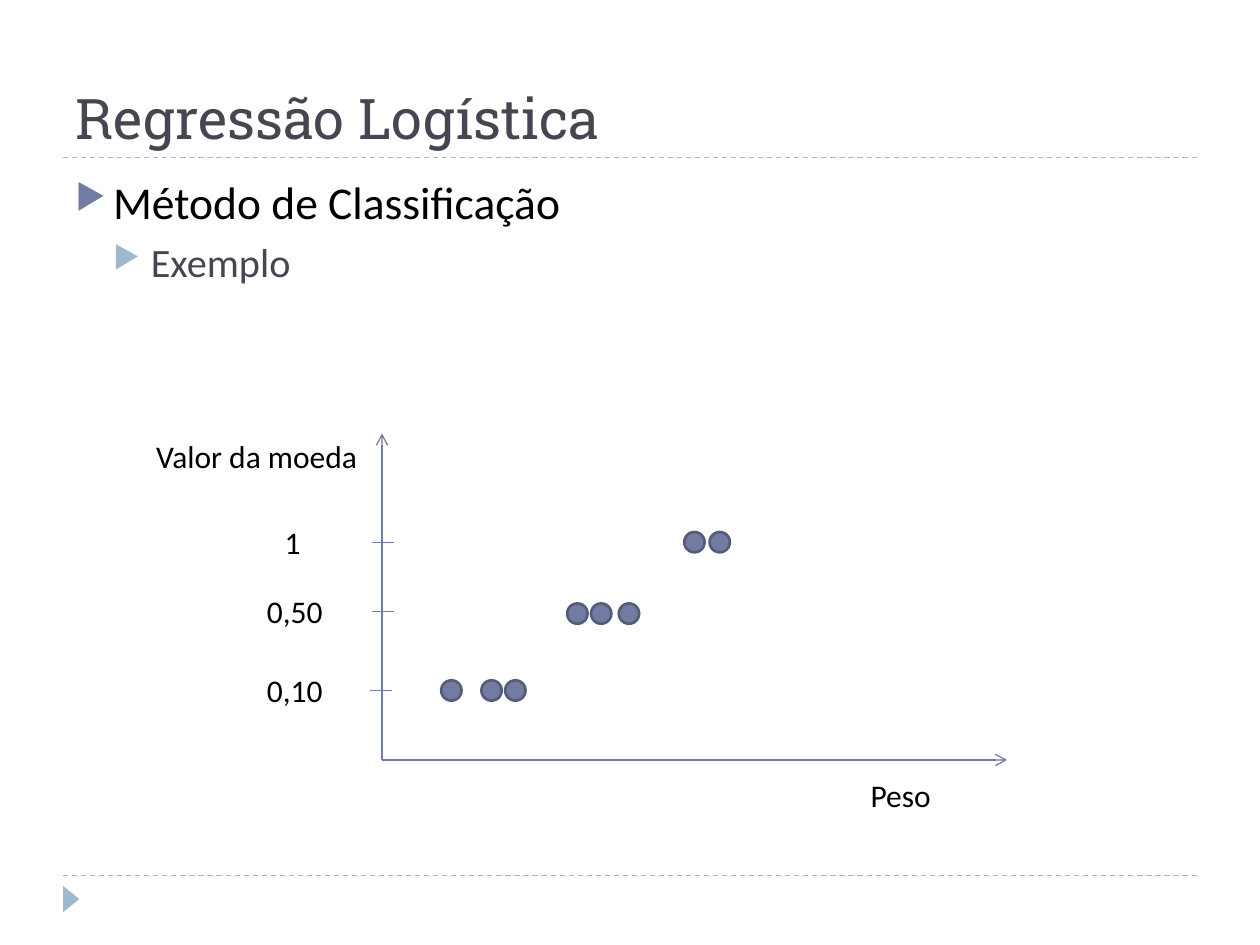
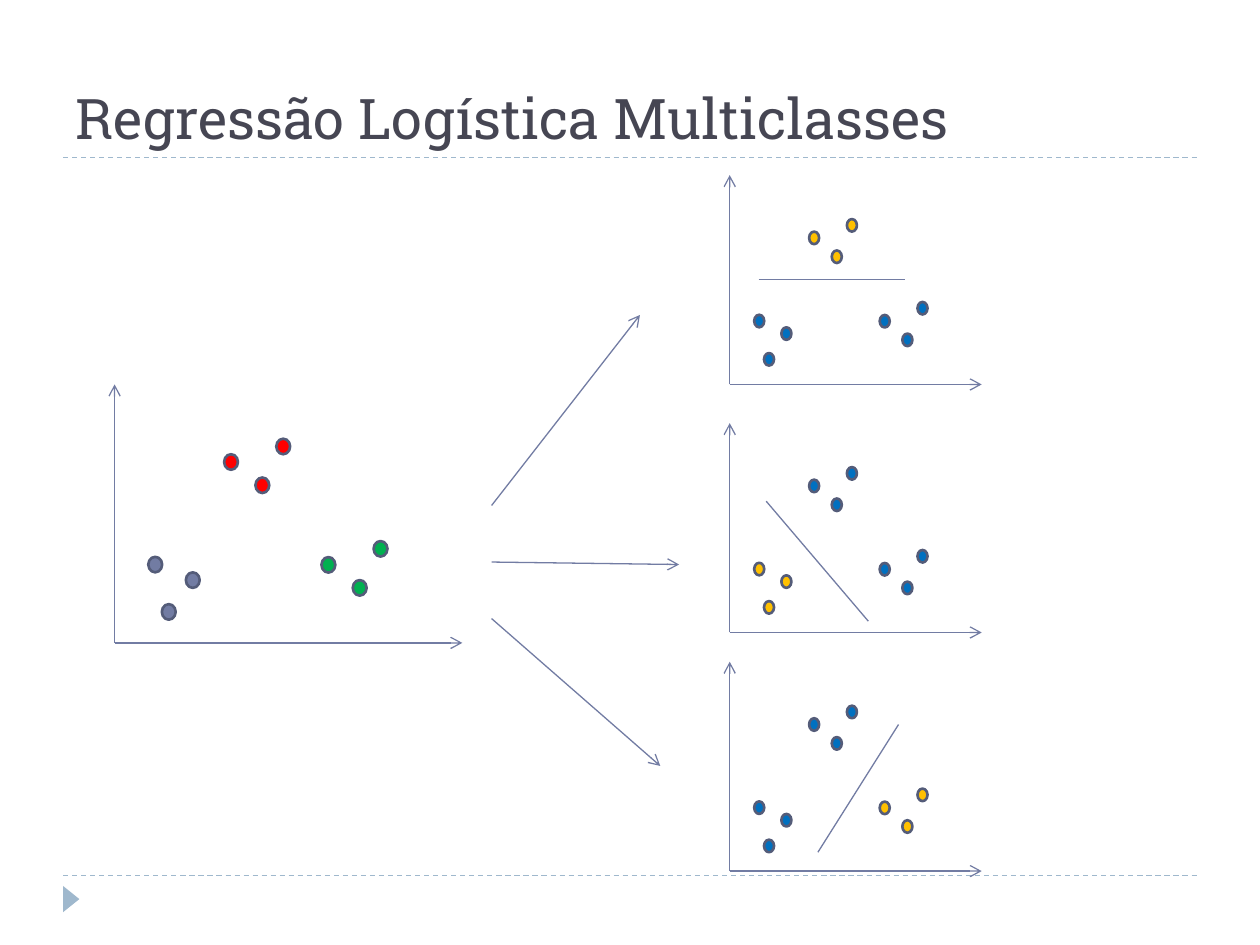
from dataclasses import dataclass

from lxml import etree
from pptx import Presentation
from pptx.dml.color import RGBColor
from pptx.enum.dml import MSO_LINE
from pptx.enum.shapes import MSO_CONNECTOR, MSO_SHAPE
from pptx.enum.text import MSO_ANCHOR, MSO_AUTO_SIZE, PP_ALIGN
from pptx.oxml.ns import qn
from pptx.util import Cm, Pt

STRAIGHT = MSO_CONNECTOR.STRAIGHT
OVAL = MSO_SHAPE.OVAL
TRIANGLE = MSO_SHAPE.ISOSCELES_TRIANGLE
DASH = MSO_LINE.DASH
LEFT = PP_ALIGN.LEFT
TOP, BOTTOM = MSO_ANCHOR.TOP, MSO_ANCHOR.BOTTOM
NO_AUTOFIT = MSO_AUTO_SIZE.NONE
TITLE_ONLY = 5


@dataclass(frozen=True)
class Theme:
    title_font: str = "Roboto Slab"
    body_font: str = "Calibri"
    title_size: float = 32
    bullet_size: float = 26
    sub_bullet_size: float = 23
    label_size: float = 18
    thin: float = 0.75
    outline: float = 1.5
    dark: str = "464653"
    black: str = "000000"
    accent: str = "727CA3"
    accent_edge: str = "545C79"
    pale: str = "9FB8CD"
    red: str = "FF0000"
    green: str = "00B050"
    blue: str = "0070C0"
    yellow: str = "FFC000"


@dataclass(frozen=True)
class Box:
    """A region of the slide, in centimetres."""
    left: float
    top: float
    width: float
    height: float

    @property
    def bottom(self):
        return self.top + self.height

    def lengths(self):
        return Cm(self.left), Cm(self.top), Cm(self.width), Cm(self.height)

    def at_percent(self, x, y):
        return self.left + self.width * x / 100, self.top + self.height * y / 100


THEME = Theme()
TITLE_BOX = Box(1.27, 0.43, 22.86, 2.74)
BODY_BOX = Box(1.27, 3.38, 22.86, 13.72)
RULE_HEIGHTS = (3.18, 17.65)
FOOTER_MARK = Box(1.17, 17.96, 0.53, 0.33)

COIN_PLOT = Box(7.7, 8.74, 12.6, 6.58)
LABEL_HEIGHT = 1.02
# label, height above the axis, label offset, tick start, distances of the coins
COIN_ROWS = [
    ("0,10", 1.4, -2.57, -0.25, (1.4, 2.21, 2.69), 1.4),
    ("0,50", 3.0, -2.57, -0.2, (3.94, 4.42, 4.98), 2.95),
    ("1", 4.39, -2.21, -0.2, (6.3, 6.81), 4.39),
]
COIN_SIZE = 0.41
TICK_LENGTH = 0.45

# Points of each class, in percent of the plot
CLUSTERS = [
    [(11.7, 69.7), (15.6, 88), (22.5, 75.7)],
    [(33.5, 30), (42.5, 39), (48.5, 24)],
    [(61.5, 69.8), (70.5, 78.7), (76.5, 63.6)],
]
ALL_CLASSES_PLOT = Box(2.31, 7.75, 7.01, 5.21)
# top of the plot, class set apart, ends of the boundary in percent
BINARY_PLOTS = [
    (3.53, 1, (11.5, 50), (69.5, 50)),
    (8.53, 0, (14.5, 37.3), (55, 94.6)),
    (13.34, 2, (35, 91), (67, 30)),
]
SPLIT_ARROWS = [
    ((9.91, 10.19), (12.9, 6.35)),
    ((9.91, 11.33), (13.69, 11.38)),
    ((9.91, 12.47), (13.31, 15.44)),
]


def rgb(value):
    return RGBColor.from_string(value)


def add_line(slide, start, end, color=THEME.accent, arrow=False, dash=None):
    connector = slide.shapes.add_connector(
        STRAIGHT, *(Cm(value) for value in (*start, *end)))
    connector.line.color.rgb = rgb(color)
    connector.line.width = Pt(THEME.thin)
    if dash is not None:
        connector.line.dash_style = dash
    properties = connector._element.spPr
    if arrow:
        etree.SubElement(properties.find(qn("a:ln")), qn("a:tailEnd"), type="arrow")
    etree.SubElement(properties, qn("a:effectLst"))


def add_dot(slide, center, width, height, color):
    x, y = center
    dot_box = Box(x - width / 2, y - height / 2, width, height)
    dot = slide.shapes.add_shape(OVAL, *dot_box.lengths())
    dot.shadow.inherit = False
    dot.fill.solid()
    dot.fill.fore_color.rgb = rgb(color)
    dot.line.color.rgb = rgb(THEME.accent_edge)
    dot.line.width = Pt(THEME.outline)


def add_run(paragraph, text, font, size, color):
    run = paragraph.add_run()
    run.text = text
    run.font.name = font
    run.font.size = Pt(size)
    run.font.color.rgb = rgb(color)


def add_text_frame(slide, box):
    frame = slide.shapes.add_textbox(*box.lengths()).text_frame
    frame.word_wrap = True
    frame.vertical_anchor = TOP
    return frame


def add_label(slide, text, box):
    frame = add_text_frame(slide, box)
    add_run(frame.paragraphs[0], text, THEME.body_font, THEME.label_size, THEME.black)


def set_bullet(paragraph, indent, color):
    properties = paragraph._p.get_or_add_pPr()
    properties.set("marL", str(Cm(indent)))
    properties.set("indent", str(-Cm(0.76)))
    bullet_color = etree.SubElement(properties, qn("a:buClr"))
    etree.SubElement(bullet_color, qn("a:srgbClr"), val=color)
    etree.SubElement(properties, qn("a:buSzPct"), val="76000")
    etree.SubElement(properties, qn("a:buChar"), char="▶")


def add_bullets(slide, box, bullets):
    """Bullets are (text, size, text colour, bullet colour, space before), one level each."""
    frame = add_text_frame(slide, box)
    for level, (text, size, color, bullet_color, space) in enumerate(bullets):
        paragraph = frame.add_paragraph() if level else frame.paragraphs[0]
        paragraph.level = level
        paragraph.space_before = Pt(space)
        set_bullet(paragraph, 0.76 * (level + 1), bullet_color)
        add_run(paragraph, text, THEME.body_font, size, color)


def add_titled_slide(presentation, title_text):
    slide = presentation.slides.add_slide(presentation.slide_layouts[TITLE_ONLY])
    for height in RULE_HEIGHTS:
        add_line(slide, (1.27, height), (24.13, height), THEME.pale, dash=DASH)
    mark = slide.shapes.add_shape(TRIANGLE, *FOOTER_MARK.lengths())
    mark.rotation = 90
    mark.shadow.inherit = False
    mark.fill.solid()
    mark.fill.fore_color.rgb = rgb(THEME.pale)
    mark.line.fill.background()

    title = slide.shapes.title
    title.left, title.top, title.width, title.height = TITLE_BOX.lengths()
    frame = title.text_frame
    frame.auto_size = NO_AUTOFIT
    frame.word_wrap = True
    frame.vertical_anchor = BOTTOM
    paragraph = frame.paragraphs[0]
    paragraph.alignment = LEFT
    add_run(paragraph, title_text, THEME.title_font, THEME.title_size, THEME.dark)
    return slide


def add_axes(slide, box):
    origin = (box.left, box.bottom)
    add_line(slide, origin, (box.left, box.top), arrow=True)
    add_line(slide, origin, (box.left + box.width, box.bottom), arrow=True)


def add_coin_plot(slide, box):
    add_axes(slide, box)
    for text, height, label_offset, tick_start, coins, coin_height in COIN_ROWS:
        y = box.bottom - height
        tick_left = box.left + tick_start
        add_line(slide, (tick_left, y), (tick_left + TICK_LENGTH, y))
        add_label(slide, text, Box(box.left + label_offset, y - LABEL_HEIGHT / 2,
                                   2.06, LABEL_HEIGHT))
        for distance in coins:
            center = (box.left + distance, box.bottom - coin_height)
            add_dot(slide, center, COIN_SIZE, COIN_SIZE, THEME.accent)
    add_label(slide, "Valor da moeda",
              Box(box.left - 4.8, box.top - 0.05, 6.2, LABEL_HEIGHT))
    add_label(slide, "Peso",
              Box(box.left + 9.6, box.bottom + 0.2, 3.81, LABEL_HEIGHT))


def add_cluster_plot(slide, box, colors):
    add_axes(slide, box)
    for points, color in zip(CLUSTERS, colors):
        for point in points:
            add_dot(slide, box.at_percent(*point),
                    box.width * 0.04, box.height * 0.06, color)


def build_example_slide(presentation):
    slide = add_titled_slide(presentation, "Regressão Logística")
    add_bullets(slide, BODY_BOX, [
        ("Método de Classificação", THEME.bullet_size, THEME.black, THEME.accent, 6),
        ("Exemplo", THEME.sub_bullet_size, THEME.dark, THEME.pale, 5),
    ])
    add_coin_plot(slide, COIN_PLOT)


def build_multiclass_slide(presentation):
    slide = add_titled_slide(presentation, "Regressão Logística Multiclasses")
    add_cluster_plot(slide, ALL_CLASSES_PLOT, (THEME.accent, THEME.red, THEME.green))
    for start, end in SPLIT_ARROWS:
        add_line(slide, start, end, arrow=True)
    for top, chosen, start, end in BINARY_PLOTS:
        box = Box(14.71, top, 5.08, 4.22)
        colors = [THEME.yellow if index == chosen else THEME.blue
                  for index in range(len(CLUSTERS))]
        add_cluster_plot(slide, box, colors)
        add_line(slide, box.at_percent(*start), box.at_percent(*end))


def main():
    presentation = Presentation()
    presentation.slide_width = Cm(25.4)
    presentation.slide_height = Cm(19.05)
    build_example_slide(presentation)
    build_multiclass_slide(presentation)
    presentation.save("out.pptx")


if __name__ == "__main__":
    main()
